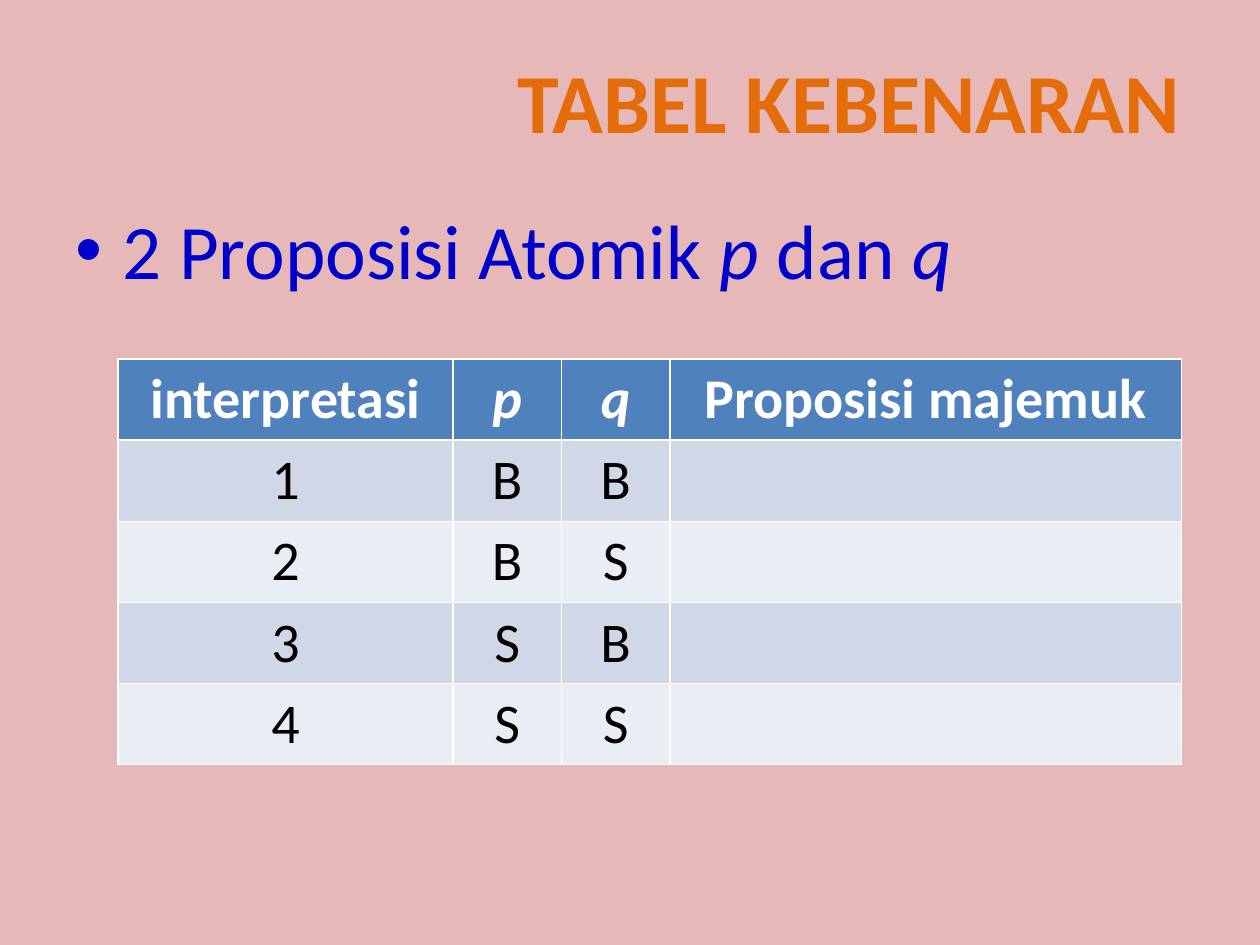
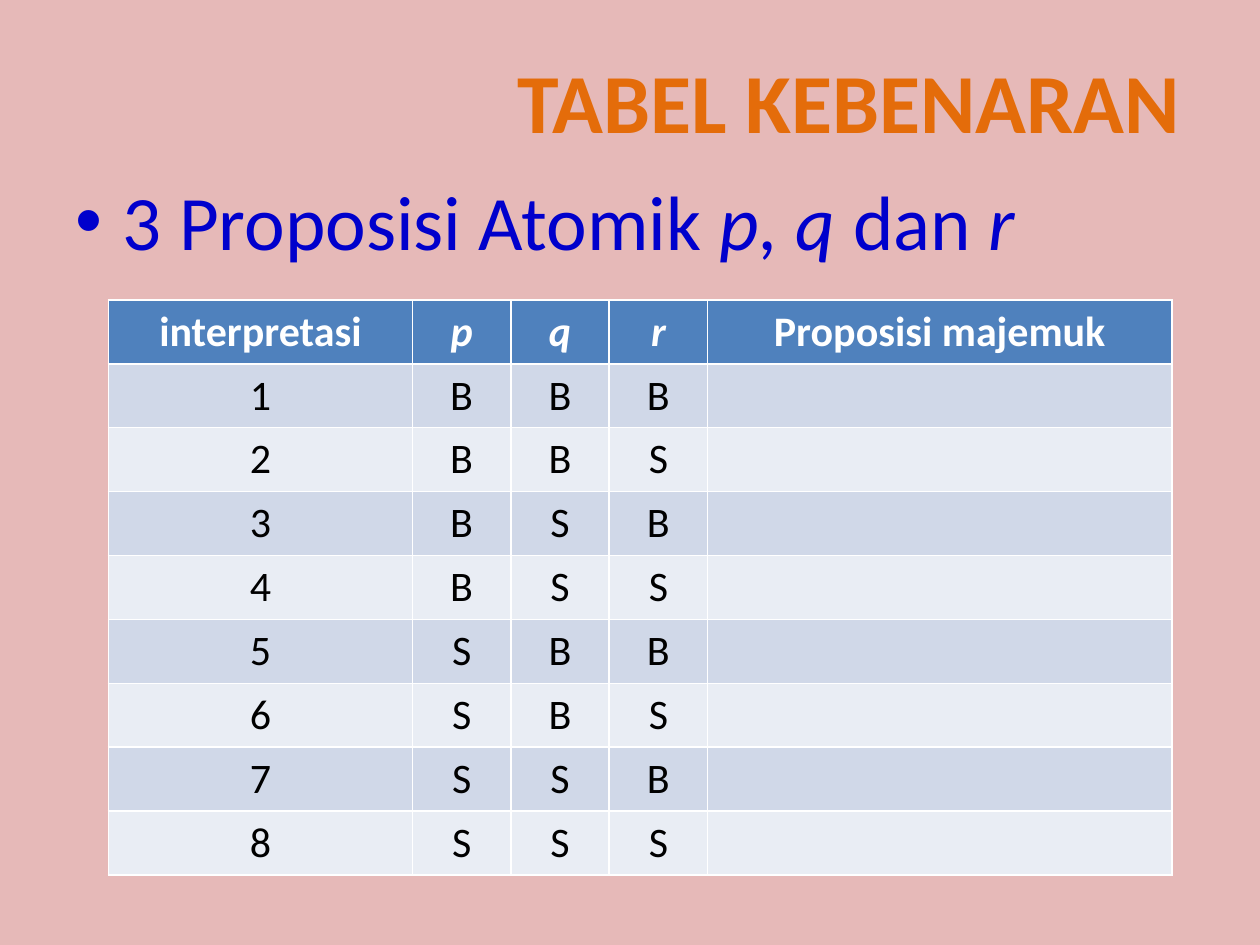
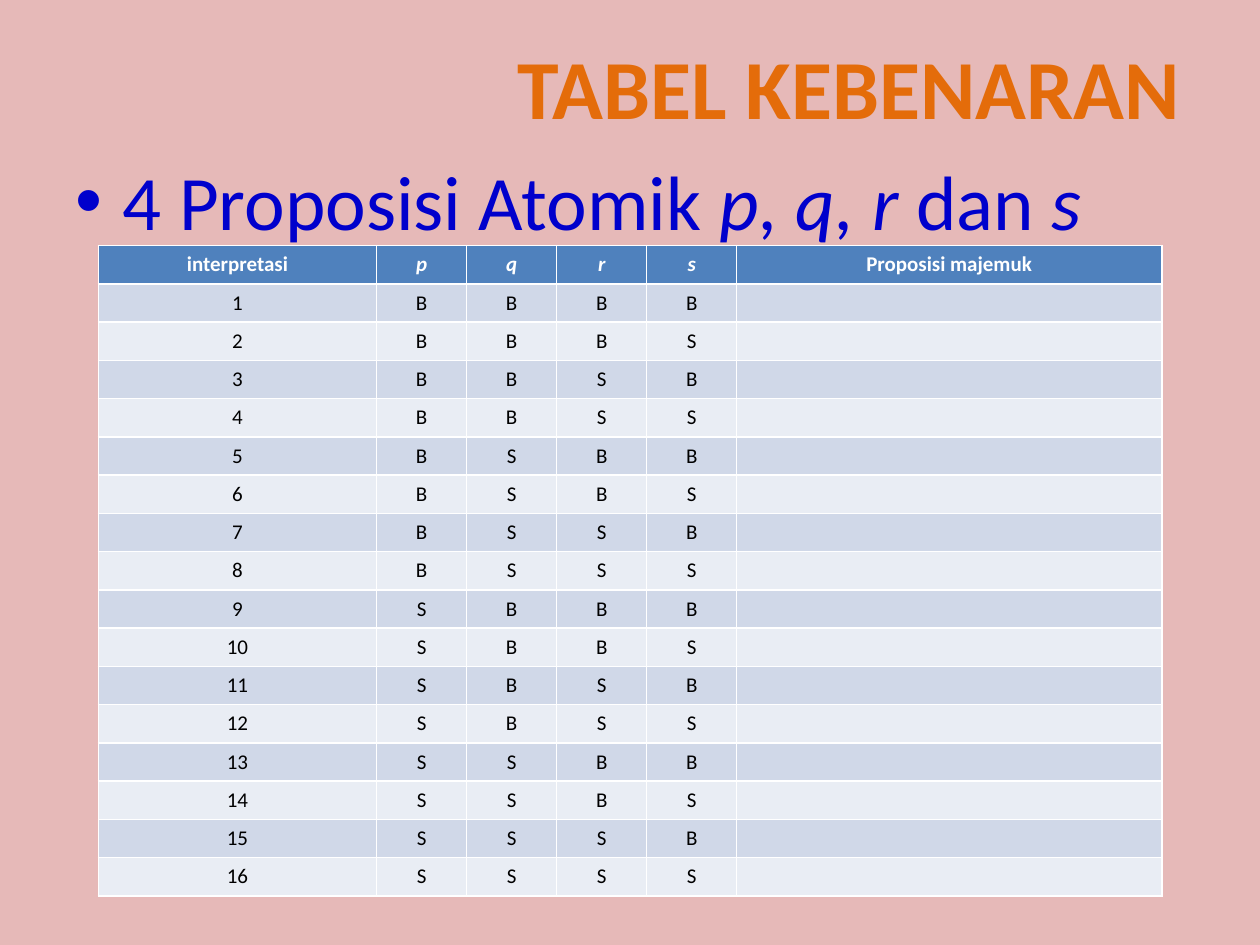
"""Build three truth-table slides for two, three and four atomic propositions."""
from dataclasses import dataclass
from itertools import product

from lxml import etree
from pptx import Presentation
from pptx.dml.color import RGBColor
from pptx.enum.text import MSO_ANCHOR, MSO_AUTO_SIZE, PP_ALIGN
from pptx.oxml.ns import qn
from pptx.util import Pt

CENTER = PP_ALIGN.CENTER
TOP = MSO_ANCHOR.TOP
NO_FIT = MSO_AUTO_SIZE.NONE
GROW = MSO_AUTO_SIZE.SHAPE_TO_FIT_TEXT


@dataclass(frozen=True)
class Theme:
    font: str = "Calibri"
    background: RGBColor = RGBColor(0xE6, 0xB9, 0xB8)
    title: RGBColor = RGBColor(0xE4, 0x6C, 0x0A)
    body: RGBColor = RGBColor(0x00, 0x00, 0xCC)
    header: RGBColor = RGBColor(0x4F, 0x81, 0xBD)
    header_text: RGBColor = RGBColor(0xFF, 0xFF, 0xFF)
    cell_text: RGBColor = RGBColor(0x00, 0x00, 0x00)
    bands: tuple[RGBColor, RGBColor] = (
        RGBColor(0xD0, 0xD8, 0xE8), RGBColor(0xE9, 0xED, 0xF4))
    title_size: float = 48
    body_size: float = 44


@dataclass(frozen=True)
class TruthSlide:
    atoms: str
    title_top: float
    body_top: float
    table_left: float
    table_top: float
    row_height: float
    text_size: float


THEME = Theme()
TITLE = "TABEL KEBENARAN"
TABLE_WIDTH = 607.7
LABEL_WEIGHT, RESULT_WEIGHT = 3.09, 4.72
SLIDES = (
    TruthSlide("pq", 24.5, 112.3, 67.5, 205.2, 45.65, 32),
    TruthSlide("pqr", 24.5, 95.75, 62, 171.4, 36, 24),
    TruthSlide("pqrs", 16.5, 84.25, 56.2, 140.4, 21.6, 12),
)


def place(sp, left: float, top: float, width: float, height: float) -> None:
    """Set the position and size of a shape in points."""
    sp.left, sp.top, sp.width, sp.height = map(Pt, (left, top, width, height))


def style(p, size: float, color: RGBColor, bold: bool = False) -> None:
    """Format a whole paragraph."""
    p.font.name, p.font.size, p.font.bold = THEME.font, Pt(size), bold
    p.font.color.rgb = color


def add_title(s, top: float) -> None:
    """Fill the title placeholder."""
    sp = s.shapes.title
    place(sp, 286.5, top, 397.5, 65.5)
    tf = sp.text_frame
    tf.text = TITLE
    tf.word_wrap, tf.auto_size, tf.vertical_anchor = False, GROW, TOP
    p = tf.paragraphs[0]
    p.alignment = CENTER
    style(p, THEME.title_size, THEME.title, bold=True)


def add_body(s, atoms: str, top: float) -> None:
    """Fill the body placeholder with the list of atoms."""
    sp = s.placeholders[1]
    place(sp, 36, top, 648, 374.4)
    tf = sp.text_frame
    tf.auto_size = NO_FIT
    p = tf.paragraphs[0]
    style(p, THEME.body_size, THEME.body)
    pieces = ((f"{len(atoms)} Proposisi Atomik ", False),
              (", ".join(atoms[:-1]) + " ", True),
              ("dan ", False), (atoms[-1], True))
    for text, italic in pieces:
        r = p.add_run()
        r.text, r.font.italic = text, italic


def fill_cell(cell, text: str, size: float, fill: RGBColor,
              color: RGBColor, header: bool, italic: bool) -> None:
    """Write and colour one table cell."""
    cell.fill.solid()
    cell.fill.fore_color.rgb = fill
    p = cell.text_frame.paragraphs[0]
    p.alignment = CENTER
    style(p, size, color, header)
    p.font.italic = italic
    if text:
        p.add_run().text = text
    else:
        etree.SubElement(p._p, qn("a:endParaRPr"), sz=str(int(size * 100)))


def add_truth_table(s, spec_: TruthSlide) -> None:
    """Draw every combination of B and S for the atoms."""
    atoms = spec_.atoms
    rows = [("interpretasi", *atoms, "Proposisi majemuk")]
    rows += [(str(i), *values, "") for i, values in
             enumerate(product("BS", repeat=len(atoms)), 1)]
    weights = (LABEL_WEIGHT, *[1] * len(atoms), RESULT_WEIGHT)
    table = s.shapes.add_table(
        len(rows), len(weights), Pt(spec_.table_left), Pt(spec_.table_top),
        Pt(TABLE_WIDTH), Pt(spec_.row_height * len(rows))).table
    for column, weight in zip(table.columns, weights):
        column.width = Pt(TABLE_WIDTH * weight / sum(weights))
    for i, row in enumerate(rows):
        table.rows[i].height = Pt(spec_.row_height)
        header = i == 0
        fill = THEME.header if header else THEME.bands[(i - 1) % 2]
        color = THEME.header_text if header else THEME.cell_text
        for j, text in enumerate(row):
            italic = header and text in atoms
            fill_cell(table.cell(i, j), text, spec_.text_size,
                      fill, color, header, italic)


def main() -> None:
    """Build and save the presentation."""
    prs = Presentation()
    prs.slide_width, prs.slide_height = Pt(720), Pt(540)
    background = prs.slide_master.background.fill
    background.solid()
    background.fore_color.rgb = THEME.background
    for item in SLIDES:
        s = prs.slides.add_slide(prs.slide_layouts[1])
        add_body(s, item.atoms, item.body_top)
        add_title(s, item.title_top)
        add_truth_table(s, item)
    prs.save("out.pptx")


main()
